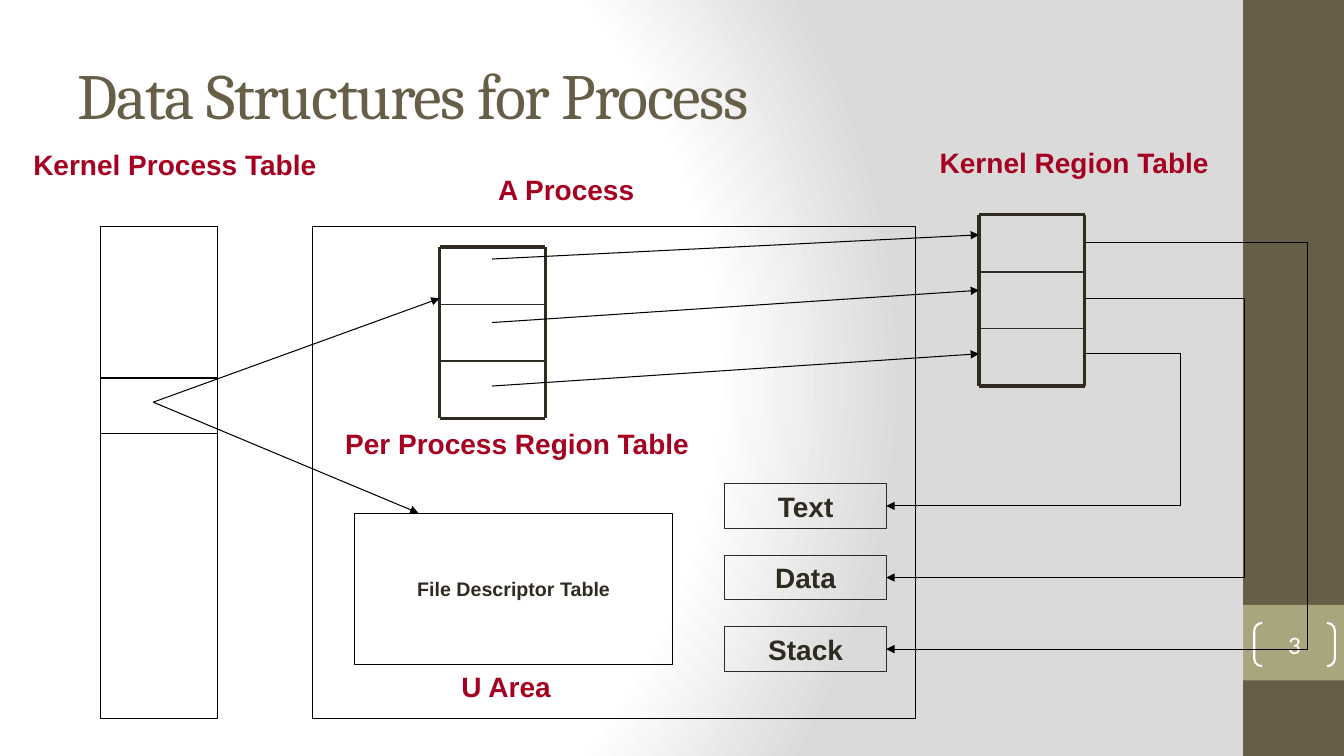
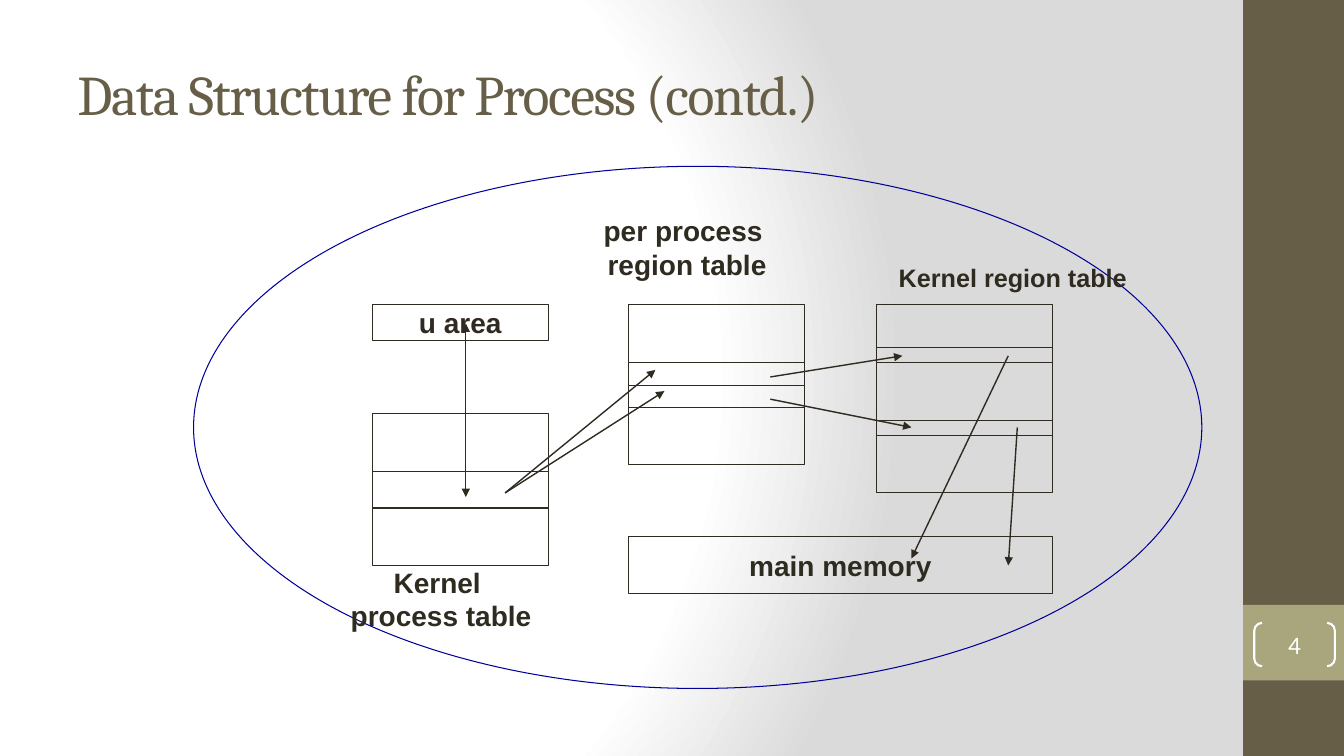
"""Build two slides on the kernel data structures behind a process."""
import dataclasses
import itertools

import lxml.etree
import pptx
import pptx.dml.color
import pptx.enum.shapes
import pptx.enum.text
import pptx.oxml.ns
import pptx.presentation
import pptx.shapes.autoshape
import pptx.shapes.connector
import pptx.slide
import pptx.text.text
import pptx.util

PX = 9144
WIDTH, HEIGHT = 1333, 750
INK, BLACK, WHITE = "2F2B20", "000000", "FFFFFF"
CRIMSON, NAVY = "A50021", "000099"
BROWN, OLIVE, GREY = "675E47", "A9A57C", "DADADA"

SHAPE = pptx.enum.shapes.MSO_SHAPE
ALIGN = pptx.enum.text.PP_ALIGN
ANCHOR = pptx.enum.text.MSO_ANCHOR

Point = tuple[int, int]


@dataclasses.dataclass(frozen=True)
class Area:
    left: int
    top: int
    width: int
    height: int

    def emu(self) -> list[int]:
        """Return the four lengths in EMU."""
        return [length * PX for length in dataclasses.astuple(self)]


@dataclasses.dataclass(frozen=True)
class Type:
    size: int
    color: str = INK
    font: str = "Arial"
    bold: bool = True


@dataclasses.dataclass(frozen=True)
class Label:
    text: str
    area: Area
    type: Type
    wrap: bool = False


@dataclasses.dataclass(frozen=True)
class Pen:
    color: str
    width: float


@dataclasses.dataclass(frozen=True)
class Stack:
    left: int
    top: int
    heights: tuple[int, ...]


BODY = Type(20)
HEADING = Type(20, CRIMSON)
FINE = Pen(BLACK, 0.75)
EDGE = Pen(INK, 0.75)
RULE = Pen(INK, 1)
FRAME = Pen(INK, 2.25)


def rgb(color: str) -> pptx.dml.color.RGBColor:
    """Turn a hex string into a colour."""
    return pptx.dml.color.RGBColor.from_string(color)


def add_xml(parent: lxml.etree._Element, tag: str, **attributes: str) -> lxml.etree._Element:
    """Append one DrawingML element."""
    return lxml.etree.SubElement(parent, pptx.oxml.ns.qn(tag), attributes)


def write(frame: pptx.text.text.TextFrame, text: str, style: Type,
          align: ALIGN = ALIGN.CENTER, anchor: ANCHOR = ANCHOR.MIDDLE, wrap: bool = True) -> None:
    """Fill a text frame and format its runs."""
    frame.text = text
    frame.word_wrap = wrap
    frame.vertical_anchor = anchor
    for para in frame.paragraphs:
        para.alignment = align
        for span in para.runs:
            span.font.name = style.font
            span.font.size = pptx.util.Pt(style.size)
            span.font.bold = style.bold
            span.font.color.rgb = rgb(style.color)


def draw_shape(page: pptx.slide.Slide, area: Area, kind: SHAPE = SHAPE.RECTANGLE,
               fill: str | None = None, pen: Pen | None = None) -> pptx.shapes.autoshape.Shape:
    """Draw a preset shape without shadow."""
    shape = page.shapes.add_shape(kind, *area.emu())
    shape.shadow.inherit = False
    if fill:
        shape.fill.solid()
        shape.fill.fore_color.rgb = rgb(fill)
    else:
        shape.fill.background()
    if pen:
        shape.line.color.rgb = rgb(pen.color)
        shape.line.width = pptx.util.Pt(pen.width)
    else:
        shape.line.fill.background()
    return shape


def draw_box(page: pptx.slide.Slide, label: Label, pen: Pen) -> pptx.shapes.autoshape.Shape:
    """Draw an outlined rectangle with centred text."""
    box = draw_shape(page, label.area, pen=pen)
    write(box.text_frame, label.text, label.type, wrap=label.wrap)
    return box


def draw_label(page: pptx.slide.Slide, label: Label) -> None:
    """Draw a free-standing caption."""
    box = page.shapes.add_textbox(*label.area.emu())
    write(box.text_frame, label.text, label.type, anchor=ANCHOR.TOP, wrap=label.wrap)


def draw_line(page: pptx.slide.Slide, start: Point, end: Point, pen: Pen,
              heads: tuple[str, ...] = ()) -> pptx.shapes.connector.Connector:
    """Draw a straight line with optional arrowheads."""
    line = page.shapes.add_connector(pptx.enum.shapes.MSO_CONNECTOR.STRAIGHT,
                                     *(length * PX for length in start + end))
    line.line.color.rgb = rgb(pen.color)
    line.line.width = pptx.util.Pt(pen.width)
    outline = line.element.spPr.find(pptx.oxml.ns.qn("a:ln"))
    for head in heads:
        add_xml(outline, head, type="triangle")
    add_xml(line.element.spPr, "a:effectLst")
    return line


def draw_arrow(page: pptx.slide.Slide, start: Point, end: Point,
               pen: Pen) -> pptx.shapes.connector.Connector:
    """Draw a line with an arrowhead at its end."""
    return draw_line(page, start, end, pen, ("a:tailEnd",))


def draw_grid(page: pptx.slide.Slide, area: Area, rows: int) -> None:
    """Draw a heavy frame split by thin row rules."""
    right, bottom = area.left + area.width, area.top + area.height
    for row in range(rows + 1):
        y = area.top + round(row * area.height / rows)
        draw_line(page, (area.left, y), (right, y), RULE if 0 < row < rows else FRAME)
    for x in (area.left, right):
        draw_line(page, (x, area.top), (x, bottom), FRAME)


def paint_background(page: pptx.slide.Slide) -> None:
    """Give the page its circular white to grey gradient."""
    page.background.fill.gradient()
    gradient = next(page.element.iter(pptx.oxml.ns.qn("a:gradFill")))
    gradient.clear()
    stops = add_xml(gradient, "a:gsLst")
    for position, color in ((0, WHITE), (75, WHITE), (100, GREY)):
        stop = add_xml(stops, "a:gs", pos=str(position * 1000))
        add_xml(stop, "a:srgbClr", val=color)
    circle = add_xml(gradient, "a:path", path="circle")
    add_xml(circle, "a:fillToRect", l="20000", t="50000", r="100000", b="50000")


def add_page(deck: pptx.presentation.Presentation, title: str, size: int, number: int) -> pptx.slide.Slide:
    """Add a page with background, side band, number and title."""
    page = deck.slides.add_slide(deck.slide_layouts[6])
    paint_background(page)
    draw_shape(page, Area(1233, 0, 100, HEIGHT), fill=BROWN)
    draw_shape(page, Area(1233, 600, 100, 75), fill=OLIVE)
    bracket = draw_shape(page, Area(1244, 618, 80, 43), SHAPE.DOUBLE_BRACKET, pen=Pen(WHITE, 1.5))
    bracket.adjustments[0] = 0.18
    frame = bracket.text_frame
    frame.margin_left = frame.margin_top = frame.margin_right = frame.margin_bottom = 0
    write(frame, str(number), Type(18, WHITE, "Calibri", False))
    heading = page.shapes.add_textbox(*Area(67, 30, 1111, 125).emu())
    write(heading.text_frame, title, Type(size, BROWN, "Cambria", False), ALIGN.LEFT)
    for span in heading.text_frame.paragraphs[0].runs:
        span.font._element.set("spc", "-100")
    return page


def build_structures(deck: pptx.presentation.Presentation) -> None:
    """Show how process, region and descriptor tables refer to each other."""
    page = add_page(deck, "Data Structures for Process", 46, 3)
    process_table = Area(100, 225, 116, 488)
    for area in (process_table, Area(310, 225, 598, 488)):
        draw_shape(page, area, pen=FINE)
    for y in (375, 430):
        draw_line(page, (process_table.left, y), (process_table.left + process_table.width, y), FINE)

    process_regions = Area(436, 245, 105, 170)
    kernel_regions = Area(971, 213, 105, 170)
    for area in (process_regions, kernel_regions):
        draw_grid(page, area, 3)

    draw_box(page, Label("File Descriptor Table", Area(352, 509, 315, 150), Type(14)), FINE)
    for end in ((process_regions.left, 296), (415, 509)):
        draw_arrow(page, (152, 399), end, FINE)
    for start_y, end_y in ((257, 233), (320, 288), (383, 351)):
        draw_arrow(page, (488, start_y), (kernel_regions.left, end_y), FINE)

    exit_x = kernel_regions.left + kernel_regions.width
    for index, segment in enumerate(("Text", "Data", "Stack")):
        area = Area(719, 480 + 71 * index, 160, 44)
        box = draw_box(page, Label(segment, area, BODY), EDGE)
        exit_y, lane_x = 351 - 55 * index, 1171 + 63 * index
        entry_y = area.top + area.height // 2
        draw_line(page, (exit_x, exit_y), (lane_x, exit_y), FINE)
        draw_line(page, (lane_x, exit_y), (lane_x, entry_y), FINE)
        entry = draw_arrow(page, (lane_x, entry_y), (area.left + area.width, entry_y), FINE)
        entry.end_connect(box, 3)

    for label in (
        Label("Kernel Process Table", Area(16, 141, 315, 44), HEADING, True),
        Label("Kernel Region Table", Area(908, 139, 315, 44), HEADING, True),
        Label("A Process", Area(404, 166, 315, 44), HEADING, True),
        Label("Per Process Region Table", Area(331, 418, 364, 44), HEADING),
        Label("U Area", Area(447, 659, 110, 44), HEADING),
    ):
        draw_label(page, label)


def build_overview(deck: pptx.presentation.Presentation) -> None:
    """Show the path from the u area to main memory."""
    page = add_page(deck, "Data Structure for Process (contd.)", 40, 4)
    draw_shape(page, Area(192, 165, 1000, 518), SHAPE.OVAL, pen=Pen(NAVY, 0.75))
    for stack in (
        Stack(369, 410, (58, 36, 57)),
        Stack(623, 302, (58, 22, 22, 57)),
        Stack(869, 302, (43, 15, 57, 15, 57)),
    ):
        tops = itertools.accumulate(stack.heights, initial=stack.top)
        for top, height in zip(tops, stack.heights):
            draw_shape(page, Area(stack.left, top, 175, height), pen=EDGE)
    for label in (
        Label("u area", Area(369, 302, 175, 36), BODY),
        Label("main memory", Area(623, 532, 421, 57), BODY),
    ):
        draw_box(page, label, EDGE)

    draw_line(page, (462, 321), (462, 493), RULE, ("a:headEnd", "a:tailEnd"))
    for start, end in (
        ((501, 489), (650, 367)),
        ((501, 489), (659, 388)),
        ((764, 374), (895, 353)),
        ((764, 396), (904, 424)),
        ((1000, 353), (904, 554)),
        ((1009, 424), (1000, 561)),
    ):
        draw_arrow(page, start, end, RULE)

    for label in (
        Label("Kernel \nprocess table", Area(337, 556, 201, 77), BODY),
        Label("per process \nregion table", Area(588, 207, 187, 77), BODY),
        Label("Kernel region table", Area(880, 255, 249, 40), Type(18)),
    ):
        draw_label(page, label)


def main() -> None:
    """Build and save the deck."""
    deck = pptx.Presentation()
    deck.slide_width, deck.slide_height = WIDTH * PX, HEIGHT * PX
    build_structures(deck)
    build_overview(deck)
    deck.save("out.pptx")


if __name__ == "__main__":
    main()
